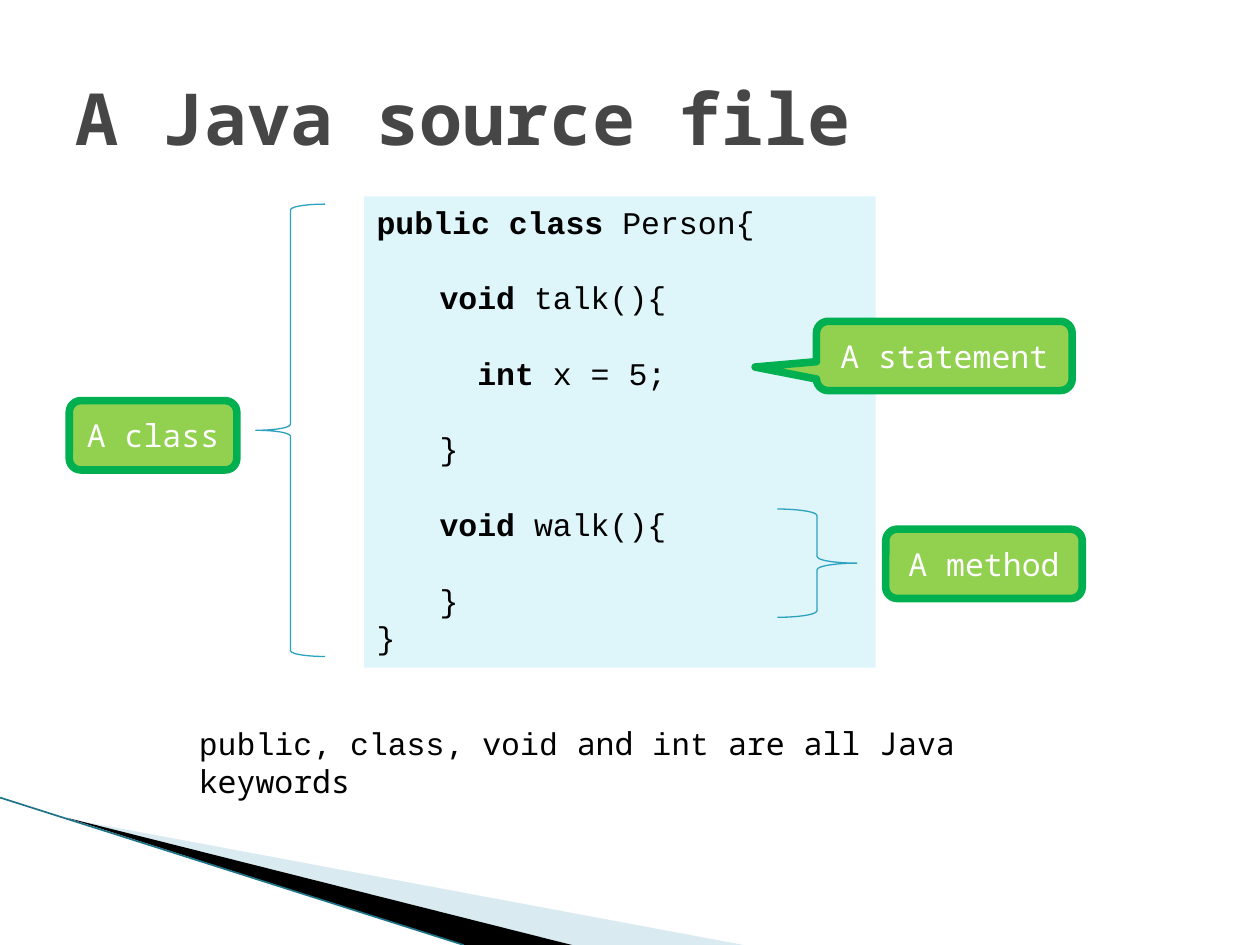
from lxml import etree
from pptx import Presentation
from pptx.dml.color import RGBColor
from pptx.enum.shapes import MSO_CONNECTOR, MSO_SHAPE
from pptx.enum.text import MSO_ANCHOR, PP_ALIGN
from pptx.oxml.ns import qn
from pptx.util import Inches, Pt

LEFT, CENTER = PP_ALIGN.LEFT, PP_ALIGN.CENTER
TOP, MIDDLE = MSO_ANCHOR.TOP, MSO_ANCHOR.MIDDLE
RECT, ROUNDED = MSO_SHAPE.RECTANGLE, MSO_SHAPE.ROUNDED_RECTANGLE
CALLOUT = MSO_SHAPE.ROUNDED_RECTANGULAR_CALLOUT
LEFT_BRACE, RIGHT_BRACE = MSO_SHAPE.LEFT_BRACE, MSO_SHAPE.RIGHT_BRACE
STRAIGHT = MSO_CONNECTOR.STRAIGHT

BLACK = RGBColor(0x00, 0x00, 0x00)
WHITE = RGBColor(0xFF, 0xFF, 0xFF)
GRAY = RGBColor(0x46, 0x46, 0x46)
PALE_BLUE = RGBColor(0xDE, 0xF5, 0xFA)
LIME = RGBColor(0x92, 0xD0, 0x50)
GREEN = RGBColor(0x00, 0xB0, 0x50)
TEAL = RGBColor(0x2D, 0xA2, 0xBF)
DARK_TEAL = RGBColor(0x1F, 0x73, 0x88)
SWOOSH_BLUE = RGBColor(0xA0, 0xCB, 0xDC)

CODE_FONT, TEXT_FONT = "Courier New", "Noto Sans Mono"
CODE_LINE = 21.6  # points from one code line to the next

# Content: runs are (text, format)
KEYWORD = {"bold": True}
PLAIN = {}
TITLE = "A Java source file"
CODE = [  # (empty lines above, runs)
    (0, [("public class ", KEYWORD), ("Person{", PLAIN)]),
    (1, [("\t", PLAIN), ("void", KEYWORD), (" talk(){", PLAIN)]),
    (1, [("\t  ", PLAIN), ("int", KEYWORD), (" x = 5;", PLAIN)]),
    (1, [("\t}", PLAIN)]),
    (1, [("\t", PLAIN), ("void", KEYWORD), (" walk(){", PLAIN)]),
    (1, [("\t}", PLAIN)]),
    (0, [("}", PLAIN)]),
]
IN_CODE = {"font": CODE_FONT}
NOTE = [
    ("public", IN_CODE), (", ", PLAIN), ("class", IN_CODE), (", ", PLAIN),
    ("void", IN_CODE), (" and ", PLAIN), ("int", IN_CODE),
    (" are all Java keywords", PLAIN),
]
LABELS = [  # text, preset, box, adjustments
    ("A statement", CALLOUT, (6.48, 2.55, 2.03, 0.55), (-0.74, 0.16, 0.17)),
    ("A class", ROUNDED, (0.55, 3.18, 1.33, 0.55), ()),
    ("A method", ROUNDED, (7.03, 4.2, 1.56, 0.55), ()),
]
BRACES = [
    (LEFT_BRACE, (2.03, 1.62, 0.55, 3.59)),
    (RIGHT_BRACE, (6.17, 4.04, 0.63, 0.86)),
]
SWOOSHES = [  # corners, colour, opacity in percent
    ([(0.55, 6.5), (5.9, 7.5), (4.54, 7.5)], SWOOSH_BLUE, 40),
    ([(0.53, 6.49), (4.54, 7.5), (3.68, 7.5)], BLACK, 100),
]


def write(frame, paragraphs, font=TEXT_FONT, size=18, color=BLACK, bold=False,
          align=LEFT, anchor=TOP, line_points=None):
    """Fill a text frame from (empty lines above, runs) pairs."""
    frame.word_wrap = True
    frame.vertical_anchor = anchor
    for i, (gap, runs) in enumerate(paragraphs):
        paragraph = frame.paragraphs[0] if i == 0 else frame.add_paragraph()
        paragraph.alignment = align
        if line_points:
            paragraph.line_spacing = Pt(line_points)
            if gap:
                paragraph.space_before = Pt(gap * line_points)
        for text, style in runs:
            run = paragraph.add_run()
            run.text = text
            run.font.name = style.get("font", font)
            run.font.size = Pt(size)
            run.font.bold = style.get("bold", bold)
            run.font.color.rgb = color


def paint(shape, fill=None, line=None, width=0.75):
    shape.shadow.inherit = False
    if fill is None:
        shape.fill.background()
    else:
        shape.fill.solid()
        shape.fill.fore_color.rgb = fill
    if line is None:
        shape.line.fill.background()
    else:
        shape.line.color.rgb = line
        shape.line.width = Pt(width)


def add_preset(slide, preset, box, **colors):
    shape = slide.shapes.add_shape(preset, *map(Inches, box))
    paint(shape, **colors)
    return shape


def add_swoosh(slide, corners, color, opacity):
    start, *rest = [(Inches(x), Inches(y)) for x, y in corners]
    builder = slide.shapes.build_freeform(*start)
    builder.add_line_segments(rest, close=True)
    swoosh = builder.convert_to_shape()
    paint(swoosh, fill=color)
    if opacity < 100:
        rgb = swoosh.fill._xPr.find(qn("a:solidFill")).find(qn("a:srgbClr"))
        etree.SubElement(rgb, qn("a:alpha")).set("val", str(opacity * 1000))


def main():
    prs = Presentation()
    prs.slide_width, prs.slide_height = Inches(10), Inches(7.5)
    slide = prs.slides.add_slide(prs.slide_layouts[5])

    # Corner decoration
    for swoosh in SWOOSHES:
        add_swoosh(slide, *swoosh)
    edge = slide.shapes.add_connector(
        STRAIGHT, Inches(0), Inches(6.33), Inches(3.68), Inches(7.5))
    edge.line.color.rgb = DARK_TEAL
    edge.line.width = Pt(0.95)
    etree.SubElement(edge._element.spPr, qn("a:effectLst"))

    # Title
    title = slide.shapes.title
    title.left, title.top, title.width, title.height = map(
        Inches, (0.5, 0.3, 9, 1.25))
    write(title.text_frame, [(0, [(TITLE, PLAIN)])], size=41, color=GRAY,
          bold=True, anchor=MIDDLE)

    # Source code
    code = add_preset(slide, RECT, (2.89, 1.56, 4.06, 3.74), fill=PALE_BLUE)
    write(code.text_frame, CODE, font=CODE_FONT, line_points=CODE_LINE)

    # Labels and braces
    for text, preset, box, adjustments in LABELS:
        label = add_preset(slide, preset, box, fill=LIME, line=GREEN, width=4.33)
        for i, value in enumerate(adjustments):
            label.adjustments[i] = value
        write(label.text_frame, [(0, [(text, PLAIN)])], color=WHITE,
              align=CENTER, anchor=MIDDLE)
    for preset, box in BRACES:
        add_preset(slide, preset, box, line=TEAL)

    # Keyword note
    note = slide.shapes.add_textbox(*map(Inches, (1.48, 5.7, 6.5, 0.7)))
    write(note.text_frame, [(0, NOTE)])

    prs.save("out.pptx")


if __name__ == "__main__":
    main()
